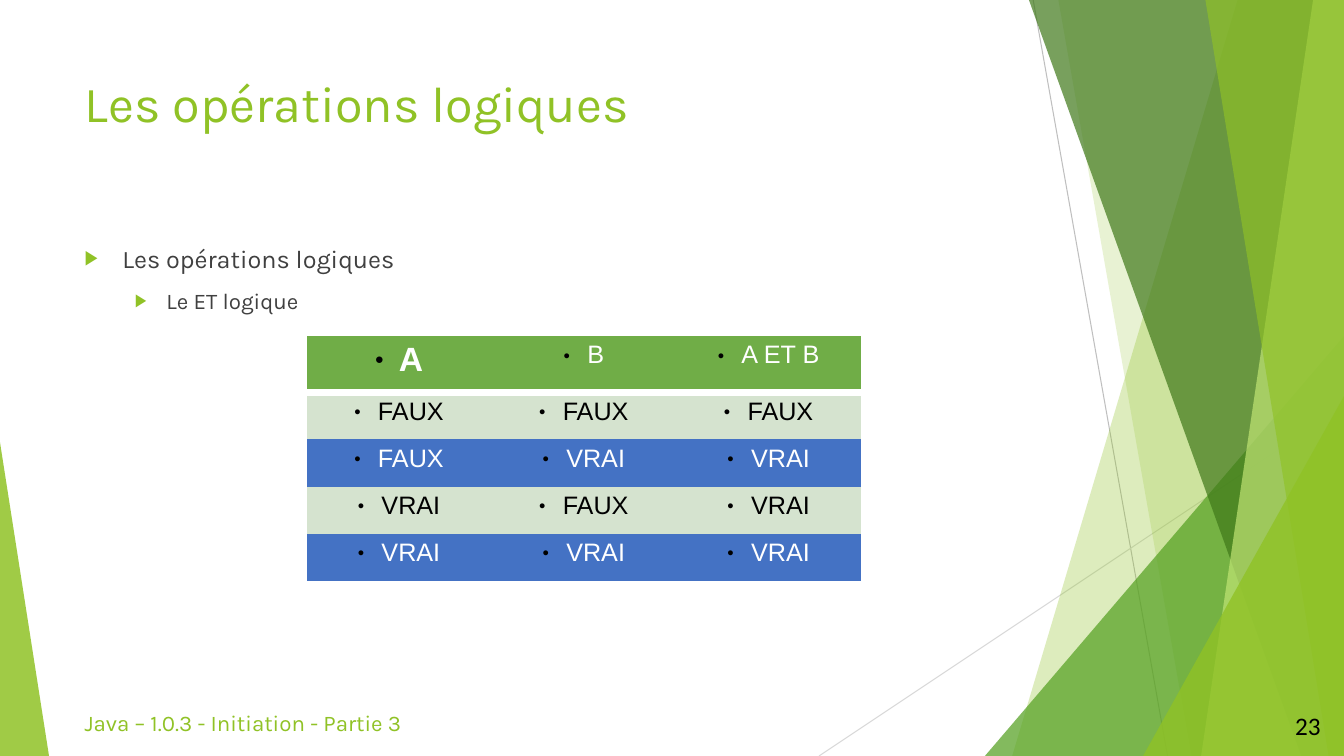
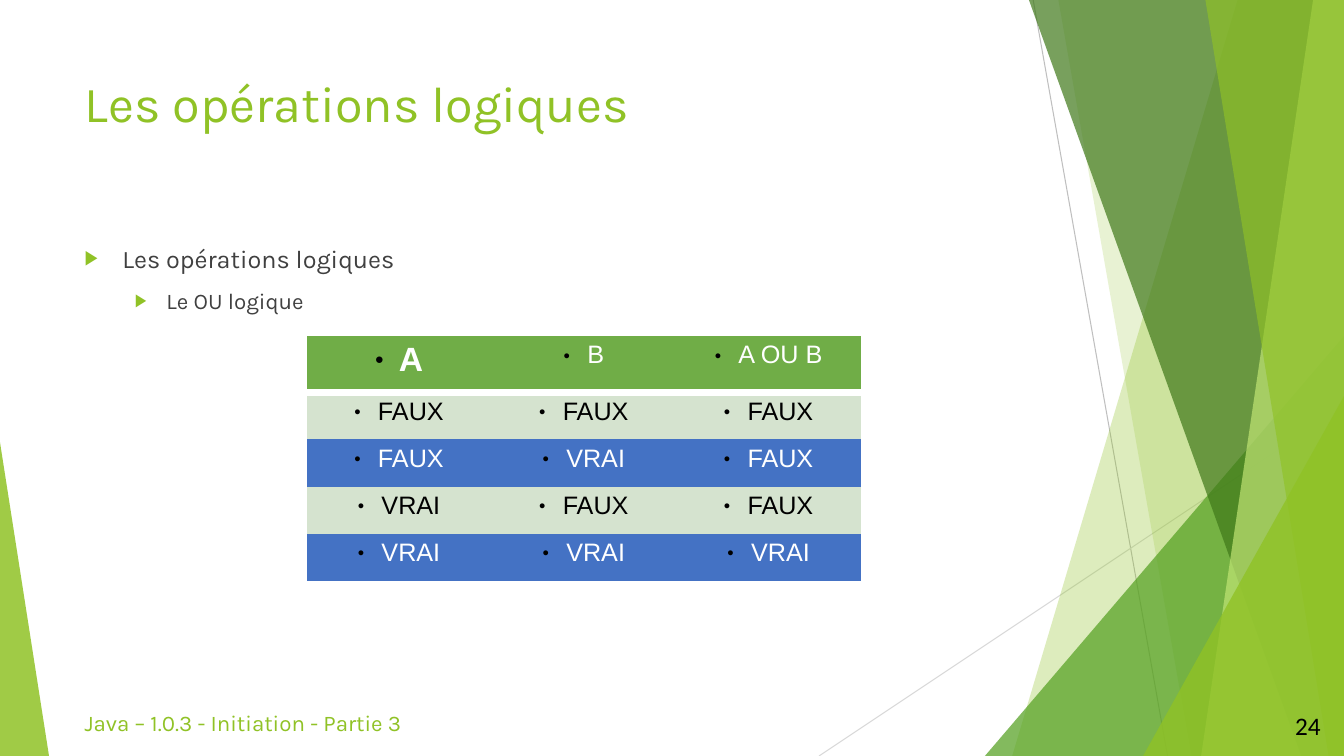
from lxml.etree import SubElement
from pptx import Presentation
from pptx.dml.color import RGBColor
from pptx.enum.shapes import MSO_CONNECTOR as Connector
from pptx.enum.text import MSO_ANCHOR as Anchor, MSO_AUTO_SIZE as AutoSize, PP_ALIGN as Align
from pptx.oxml.ns import qn
from pptx.util import Pt

COLORS = {
    "lime": "90C226", "green": "54A021", "forest": "3F7819", "pale": "C0E474",
    "thin_dark": "BFBFBF", "thin_light": "D9D9D9",
    "body": "404040", "black": "000000", "white": "FFFFFF",
    "header": "70AD47", "band_light": "D5E3CF", "band_blue": "4472C4",
}
WIDTH, HEIGHT = 960, 540
PAGE_BOX = (0, 0, WIDTH, HEIGHT)
TITLE_BOX = (53.3, 48.2, 677, 104)
BODY_BOX = (53.3, 170, 677, 333)
TABLE_BOX = (219, 240, 396, 175)
FOOTER_BOX = (53.3, 503.3, 472, 29)
NUMBER_BOX = (896.4, 503.3, 54, 29)
HEADER_HEIGHT = 40.2
NO_GRID_STYLE = "{2D5ABB26-0587-4C30-8999-92F81FD0307C}"

TITLE = "Les opérations logiques"
FOOTER = "Java – 1.0.3 - Initiation - Partie 3"
PAIRS = [("FAUX", "FAUX"), ("FAUX", "VRAI"), ("VRAI", "FAUX"), ("VRAI", "VRAI")]
PAGES = [
    (23, "ET", ["FAUX", "VRAI", "VRAI", "VRAI"]),
    (24, "OU", ["FAUX", "FAUX", "FAUX", "VRAI"]),
]

# Background: thin lines as (start, end), facets as (colour, opacity, corners)
THIN_LINES = [
    ("thin_dark", (738, 0), (834, HEIGHT)),
    ("thin_light", (WIDTH, 290), (585, HEIGHT)),
]
TOP_RIGHT, BOTTOM_RIGHT = (WIDTH, 0), (WIDTH, HEIGHT)
FACETS = [
    ("lime", 30, [(884, 0), TOP_RIGHT, BOTTOM_RIGHT, (723, HEIGHT)]),
    ("lime", 20, [(756, 0), TOP_RIGHT, BOTTOM_RIGHT, (851, HEIGHT)]),
    ("green", 72, [(703.5, HEIGHT), (WIDTH, 240), BOTTOM_RIGHT]),
    ("forest", 70, [(735, 0), TOP_RIGHT, BOTTOM_RIGHT, (929.5, HEIGHT)]),
    ("pale", 70, [(938, 0), TOP_RIGHT, BOTTOM_RIGHT, (858, HEIGHT)]),
    ("lime", 65, [(861, 0), TOP_RIGHT, BOTTOM_RIGHT, (949, HEIGHT)]),
    ("lime", 80, [(816.5, HEIGHT), (WIDTH, 283), BOTTOM_RIGHT]),
    ("lime", 85, [(0, HEIGHT), (0, 316), (35, HEIGHT)]),
]


def rgb(name):
    return RGBColor.from_string(COLORS[name])


def points(box):
    return [Pt(length) for length in box]


def write(para, text, size, color, font="Karla", bold=False, align=Align.LEFT, before=0):
    para.alignment = align
    para.space_before = Pt(before)
    span = para.add_run()
    span.text = text
    span.font.size = Pt(size)
    span.font.name = font
    span.font.bold = bold
    span.font.color.rgb = rgb(color)


def add_bullet(para, char, color, percent, indent, hanging):
    props = para._p.get_or_add_pPr()
    props.set("marL", str(Pt(indent)))
    props.set("indent", str(-Pt(hanging)))
    tint = SubElement(props, qn("a:buClr"))
    SubElement(tint, qn("a:srgbClr"), val=COLORS[color])
    SubElement(props, qn("a:buSzPct"), val=str(percent * 1000))
    SubElement(props, qn("a:buFont"), typeface="Arial")
    SubElement(props, qn("a:buChar"), char=char)


def add_text_box(page, box, anchor=Anchor.TOP):
    frame = page.shapes.add_textbox(*points(box)).text_frame
    frame.word_wrap = True
    frame.vertical_anchor = anchor
    return frame


def draw_background(page, box):
    left, top = box[:2]
    group = page.shapes.add_group_shape()

    def place(corner):
        return Pt(left + corner[0]), Pt(top + corner[1])

    for color, start, end in THIN_LINES:
        line = group.shapes.add_connector(Connector.STRAIGHT, *place(start), *place(end))
        line.line.color.rgb = rgb(color)
        line.line.width = Pt(0.75)
        SubElement(line.element.spPr, qn("a:effectLst"))
    for color, opacity, corners in FACETS:
        first, *rest = [place(corner) for corner in corners]
        builder = group.shapes.build_freeform(*first)
        builder.add_line_segments(rest, close=True)
        facet = builder.convert_to_shape()
        facet.shadow.inherit = False
        facet.line.fill.background()
        facet.fill.solid()
        facet.fill.fore_color.rgb = rgb(color)
        tint = facet.element.spPr.find(qn("a:solidFill")).find(qn("a:srgbClr"))
        SubElement(tint, qn("a:alpha"), val=str(opacity * 1000))
    return group


def format_title(page, box):
    title = page.shapes.title
    title.left, title.top, title.width, title.height = points(box)
    frame = title.text_frame
    frame.word_wrap = True
    frame.auto_size = AutoSize.NONE
    frame.vertical_anchor = Anchor.TOP
    write(frame.paragraphs[0], TITLE, 36, "lime")


def add_body(page, box, operator):
    frame = add_text_box(page, box)
    para = frame.paragraphs[0]
    write(para, TITLE, 18, "body", before=10)
    add_bullet(para, "▶", "lime", 80, 27, 27)
    para = frame.add_paragraph()
    para.level = 1
    write(para, f"Le {operator} logique", 16, "body", before=10)
    add_bullet(para, "▶", "lime", 80, 58.5, 22.5)


def add_truth_table(page, box, operator, results):
    rows = [("A", "B", f"A {operator} B")]
    rows += [(*pair, result) for pair, result in zip(PAIRS, results)]
    holder = page.shapes.add_table(len(rows), 3, *points(box))
    holder.element.find(".//" + qn("a:tableStyleId")).text = NO_GRID_STYLE
    table = holder.table
    table.horz_banding = False
    for column in table.columns:
        column.width = Pt(box[2] / 3)
    for number, texts in enumerate(rows):
        is_header = number == 0
        if is_header:
            height, fill, color = HEADER_HEIGHT, "header", "white"
        else:
            height = (box[3] - HEADER_HEIGHT) / len(PAIRS)
            fill, color = ("band_light", "black") if number % 2 else ("band_blue", "white")
        table.rows[number].height = Pt(round(height, 2))
        for index, text in enumerate(texts):
            cell = table.cell(number, index)
            cell.fill.solid()
            cell.fill.fore_color.rgb = rgb(fill)
            is_key = is_header and index == 0
            para = cell.text_frame.paragraphs[0]
            write(para, text, 24 if is_key else 18, color, font="Arial",
                  bold=is_key, align=Align.CENTER)
            add_bullet(para, "●", "black", 45, 17, 17)
            if is_header:
                add_bottom_border(cell, "white", 6)


def add_bottom_border(cell, color, width):
    props = cell._tc.get_or_add_tcPr()
    border = SubElement(props, qn("a:lnB"), w=str(Pt(width)))
    fill = SubElement(border, qn("a:solidFill"))
    SubElement(fill, qn("a:srgbClr"), val=COLORS[color])
    props.insert(0, border)  # borders come before the fill


def add_footer(page, box, number_box, number):
    frame = add_text_box(page, box)
    write(frame.paragraphs[0], FOOTER, 16, "lime")
    frame = add_text_box(page, number_box, Anchor.MIDDLE)
    write(frame.paragraphs[0], str(number), 18, "black", font="Calibri", align=Align.RIGHT)


def add_logic_page(deck, layout, number, operator, results):
    page = deck.slides.add_slide(layout)
    format_title(page, TITLE_BOX)
    add_body(page, BODY_BOX, operator)
    add_footer(page, FOOTER_BOX, NUMBER_BOX, number)
    add_truth_table(page, TABLE_BOX, operator, results)
    return page


def main():
    deck = Presentation()
    deck.slide_width, deck.slide_height = Pt(WIDTH), Pt(HEIGHT)
    layout = deck.slide_layouts[5]
    # The layout keeps only its title and receives the shared background
    for holder in list(layout.placeholders)[1:]:
        layout.shapes.element.remove(holder.element)
    pages = [add_logic_page(deck, layout, *content) for content in PAGES]
    background = draw_background(pages[0], PAGE_BOX)
    layout.shapes.element.insert(2, background.element)
    deck.save("out.pptx")


if __name__ == "__main__":
    main()
